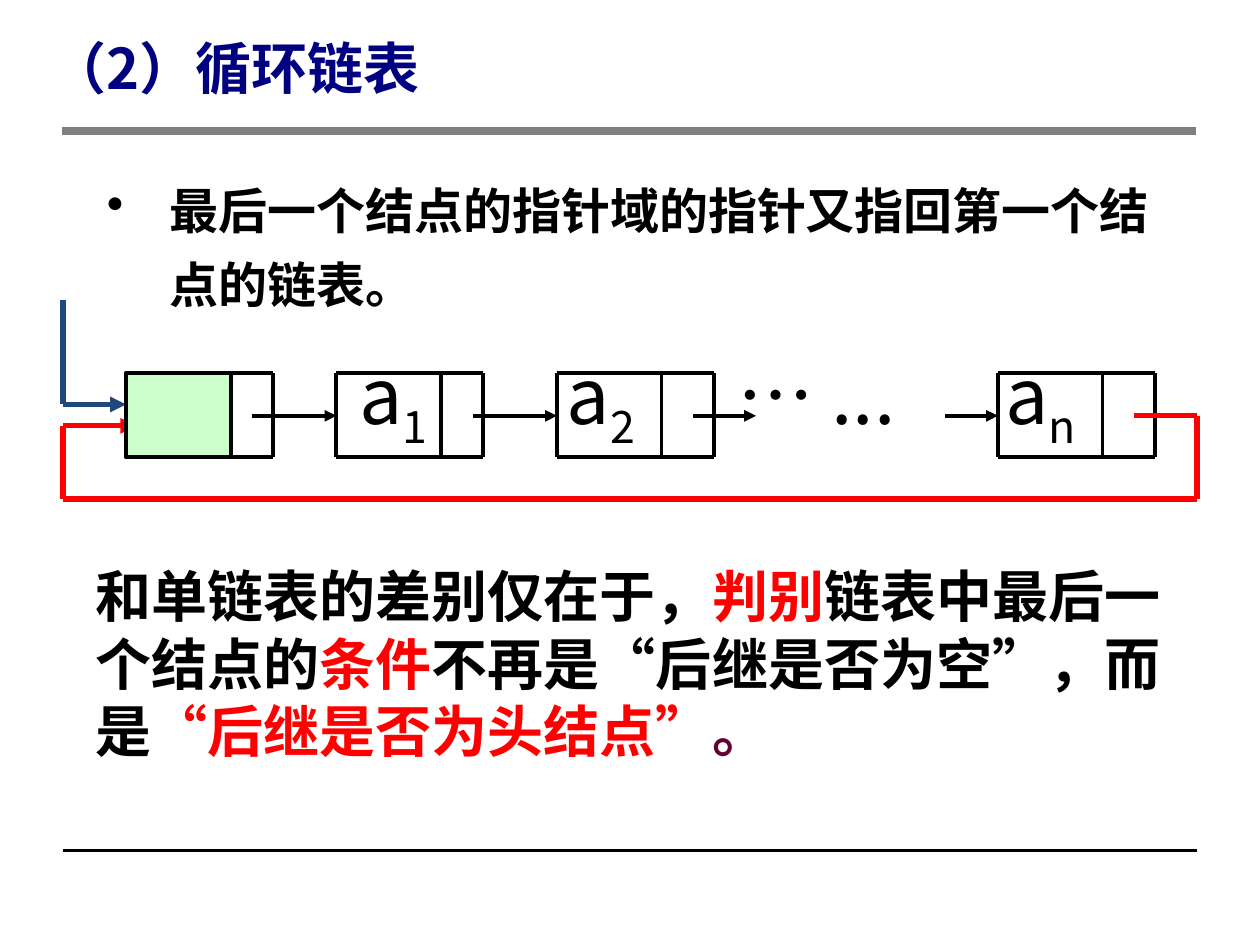
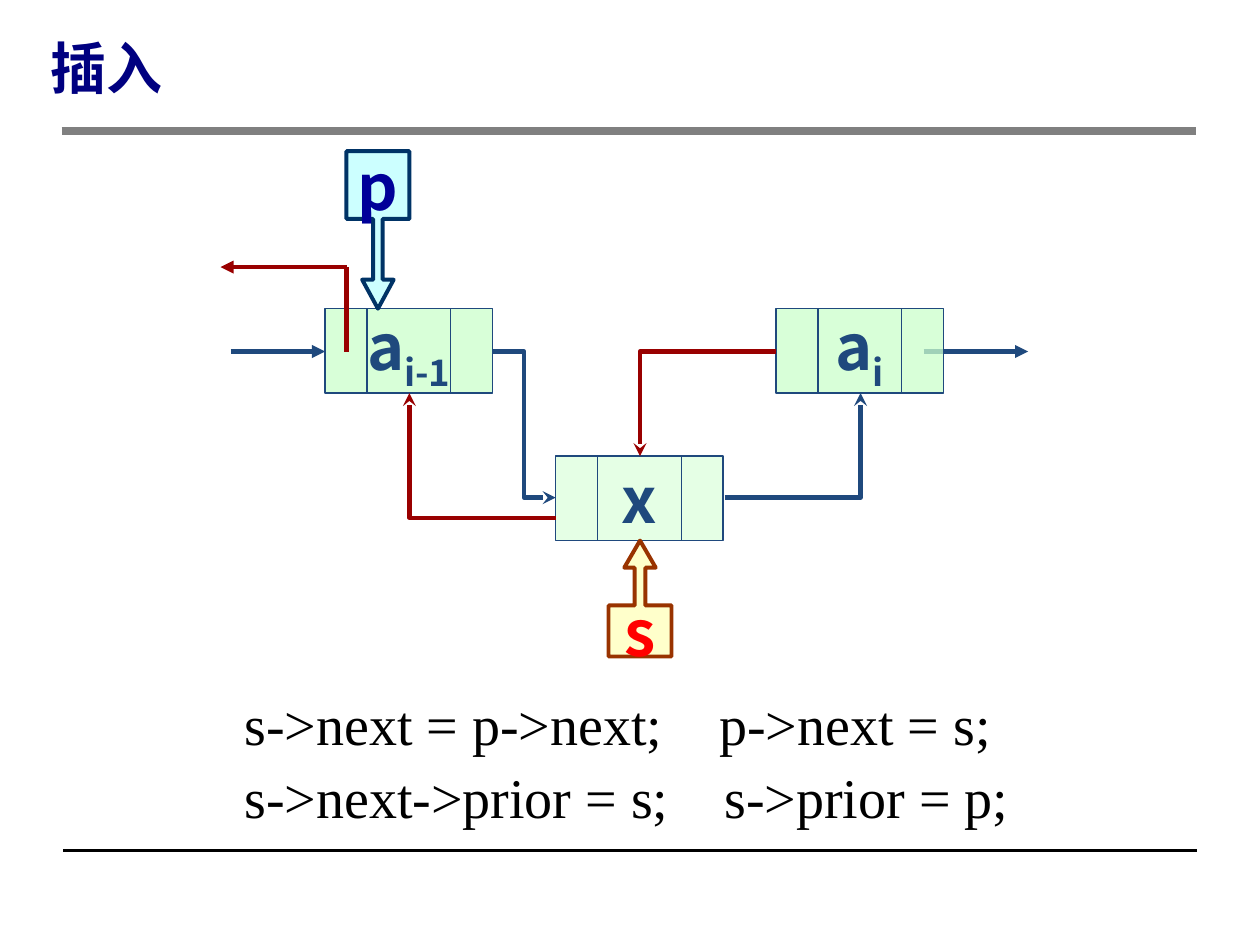
from itertools import pairwise
from lxml.etree import SubElement
from pptx import Presentation
from pptx.dml.color import RGBColor
from pptx.enum.shapes import MSO_CONNECTOR, MSO_SHAPE
from pptx.enum.text import MSO_ANCHOR, PP_ALIGN
from pptx.oxml.ns import qn
from pptx.util import Inches, Pt

INK = {
    "black": "000000", "grey": "808080", "navy": "000080", "blue": "1F497D",
    "red": "FF0000", "wine": "990000", "plum": "660033", "green": "CCFFCC",
    "sky": "CCFFFF", "deep": "003366", "royal": "000099",
    "cream": "FFFF99", "rust": "993300",
}
SANS, SERIF = "Noto Sans CJK SC", "Times New Roman"


def draw(slide, start, end, ink, width, head=None, bend=None):
    """Draw a straight or bent line, with an arrowhead if one is named."""
    kind = MSO_CONNECTOR.ELBOW if bend else MSO_CONNECTOR.STRAIGHT
    line = slide.shapes.add_connector(kind, *map(Inches, start + end))
    line.line.color.rgb = RGBColor.from_string(INK[ink])
    line.line.width = Pt(width)
    props = line._element.spPr
    if bend:
        props.find(qn("a:prstGeom")).set("prst", bend)
    if head:
        SubElement(props.find(qn("a:ln")), qn("a:tailEnd"), type=head)
    SubElement(props, qn("a:effectLst"))


def write(par, parts, size, bold=False, font=SANS):
    """Add runs of (text, ink) or (text, ink, baseline) to a paragraph."""
    for text, ink, *base in parts:
        run = par.add_run()
        run.text = text
        run.font.size, run.font.bold = Pt(size), bold
        run.font.color.rgb = RGBColor.from_string(INK[ink])
        run.font.name = font
        props = run.font._element
        SubElement(props, qn("a:ea"), typeface=SANS)
        if base:
            props.set("baseline", str(base[0] * 1000))


deck = Presentation()
deck.slide_width, deck.slide_height = Inches(10), Inches(7.5)

# Shared title, band and foot line
slides = []
for title in ("（2）循环链表", "插入"):
    slide = deck.slides.add_slide(deck.slide_layouts[6])
    draw(slide, (0.5, 6.75), (9.5, 6.75), "black", 2)
    draw(slide, (0.49, 1.04), (9.49, 1.04), "grey", 5)
    frame = slide.shapes.add_textbox(*map(Inches, (0.3, 0.18, 8.5, 0.68))).text_frame
    frame.word_wrap = True
    frame.vertical_anchor = MSO_ANCHOR.MIDDLE
    frame.paragraphs[0].line_spacing = Pt(40)
    write(frame.paragraphs[0], [(title, "navy")], 32, True)
    slides.append(slide)
ring, insert = slides

# Circular list: opening bullet
frame = ring.shapes.add_textbox(*map(Inches, (0.75, 1.27, 8.75, 1.24))).text_frame
frame.word_wrap = True
par = frame.paragraphs[0]
par.line_spacing = 1.25
props = par._p.get_or_add_pPr()
props.set("marL", str(Inches(0.5)))
props.set("indent", str(-Inches(0.5)))
SubElement(props, qn("a:buChar"), char="•")
write(par, [("最后一个结点的指针域的指针又指回第一个结点的链表。", "black")], 28, True, SERIF)

# Node labels
for left, name, sub in ((2.85, "a", "1"), (4.5, "a", "2"), (5.85, "… ...", ""), (7.98, "a", "n")):
    frame = ring.shapes.add_textbox(*map(Inches, (left, 2.71, 1.5, 0.85))).text_frame
    frame.margin_left = frame.margin_right = 0
    frame.word_wrap = False
    parts = [(name, "black")]
    if sub:
        parts.append((sub, "black", -25))
    write(frame.paragraphs[0], parts, 44)

# Node frames
top, low, mid = 2.96, 3.63, 3.3
for left, split, right in ((1, 1.83, 2.17), (2.67, 3.5, 3.83), (4.42, 5.25, 5.67), (7.92, 8.75, 9.17)):
    for y in (top, low):
        draw(ring, (left, y), (right, y), "black", 2.25)
    for x in (left, split, right):
        draw(ring, (x, top), (x, low), "black", 2.25)

# Links between nodes
for start, end in ((2, 2.67), (3.75, 4.42), (5.5, 6), (7.5, 7.92)):
    draw(ring, (start, mid), (end, mid), "black", 2.25, "triangle")

# Entry pointer and the link back to the head node
entry = [(0.5, 2.38), (0.5, 3.21), (1, 3.21)]
back = [(9, mid), (9.5, mid), (9.5, 3.96), (0.5, 3.96), (0.5, 3.38), (1.08, 3.38)]
for route, ink in ((entry, "blue"), (back, "red")):
    for start, end in pairwise(route):
        draw(ring, start, end, ink, 3, "triangle" if end == route[-1] else None)

# Head node cell
cell = ring.shapes.add_shape(MSO_SHAPE.RECTANGLE, *map(Inches, (1, top, 0.83, 0.67)))
cell.shadow.inherit = False
cell.fill.solid()
cell.fill.fore_color.rgb = RGBColor.from_string(INK["green"])
cell.line.color.rgb = RGBColor.from_string(INK["black"])
cell.line.width = Pt(2.25)

# Closing remark
frame = ring.shapes.add_textbox(*map(Inches, (0.66, 4.41, 8.93, 1.78))).text_frame
frame.word_wrap = True
write(frame.paragraphs[0], [
    ("和单链表的差别仅在于，", "black"), ("判别", "red"),
    ("链表中最后一个结点的", "black"), ("条件", "red"),
    ("不再是“后继是否为空”，而是", "black"),
    ("“后继是否为头结点”", "red"), ("。", "plum"),
], 32, True)

# Insertion: outer links, which run under the nodes
for start, end in ((1.83, 2.58), (7.33, 8.16)):
    draw(insert, (start, 2.79), (end, 2.79), "blue", 2.5, "triangle")

# Nodes and pointer callouts
rect = MSO_SHAPE.RECTANGLE
down, up = MSO_SHAPE.DOWN_ARROW_CALLOUT, MSO_SHAPE.UP_ARROW_CALLOUT
forms = (
    (rect, (2.58, 2.45, 1.33, 0.67), (), "green", 75, "blue", 0.75, [("a", "blue"), ("i-1", "blue", -25)]),
    (rect, (6.16, 2.45, 1.33, 0.67), (), "green", 75, "blue", 0.75, [("a", "blue"), ("i", "blue", -25)]),
    (rect, (4.41, 3.62, 1.33, 0.67), (), "green", 50, "blue", 0.75, [("x", "blue")]),
    (down, (2.75, 1.2, 0.5, 1.25), (0.15, 0.25, 0.46, 0.43), "sky", 100, "deep", 2.25, [("p", "royal")]),
    (up, (4.83, 4.29, 0.5, 0.92), (0.17, 0.25, 0.43, 0.44), "cream", 50, "rust", 2.25, [("s", "red")]),
)
for kind, box, bends, fill, alpha, edge, width, parts in forms:
    form = insert.shapes.add_shape(kind, *map(Inches, box))
    form.shadow.inherit = False
    for i, bend in enumerate(bends):
        form.adjustments[i] = bend
    form.fill.solid()
    form.fill.fore_color.rgb = RGBColor.from_string(INK[fill])
    if alpha < 100:
        tint = form._element.spPr.find(qn("a:solidFill"))[0]
        SubElement(tint, qn("a:alpha"), val=str(alpha * 1000))
    form.line.color.rgb = RGBColor.from_string(INK[edge])
    form.line.width = Pt(width)
    frame = form.text_frame
    frame.word_wrap = False
    frame.vertical_anchor = MSO_ANCHOR.MIDDLE
    frame.paragraphs[0].alignment = PP_ALIGN.CENTER
    write(frame.paragraphs[0], parts, 36, True)
    if kind == rect:
        left, y, wide, tall = box
        for x in (left + wide / 4, left + wide * 3 / 4):
            draw(insert, (x, y), (x, y + tall), "blue", 0.75)

# New links around x
for start, end, ink, bend in (
    ((5.75, 3.95), (6.83, 3.12), "blue", "bentConnector2"),
    ((3.91, 2.79), (4.41, 3.95), "blue", "bentConnector3"),
    ((6.16, 2.79), (5.08, 3.62), "wine", "bentConnector2"),
    ((4.41, 4.11), (3.25, 3.12), "wine", "bentConnector2"),
):
    draw(insert, start, end, ink, 2.5, "stealth", bend)

# Prior link of the left node
draw(insert, (2.75, 2.79), (2.75, 2.12), "wine", 2.5)
draw(insert, (2.75, 2.12), (1.75, 2.12), "wine", 2.5, "triangle")

# Code, in two columns set by a tab stop
frame = insert.shapes.add_textbox(*map(Inches, (1.84, 5.37, 6.32, 1.28))).text_frame
frame.word_wrap = False
code = (("s->next = p->next;\tp->next = s;", 3.77), ("s->next->prior = s;\ts->prior = p;", 3.81))
for i, (text, stop) in enumerate(code):
    par = frame.add_paragraph() if i else frame.paragraphs[0]
    par.line_spacing = Pt(42)
    tabs = SubElement(par._p.get_or_add_pPr(), qn("a:tabLst"))
    SubElement(tabs, qn("a:tab"), pos=str(Inches(stop)), algn="l")
    write(par, [(text, "black")], 32, font=SERIF)

deck.save("out.pptx")
